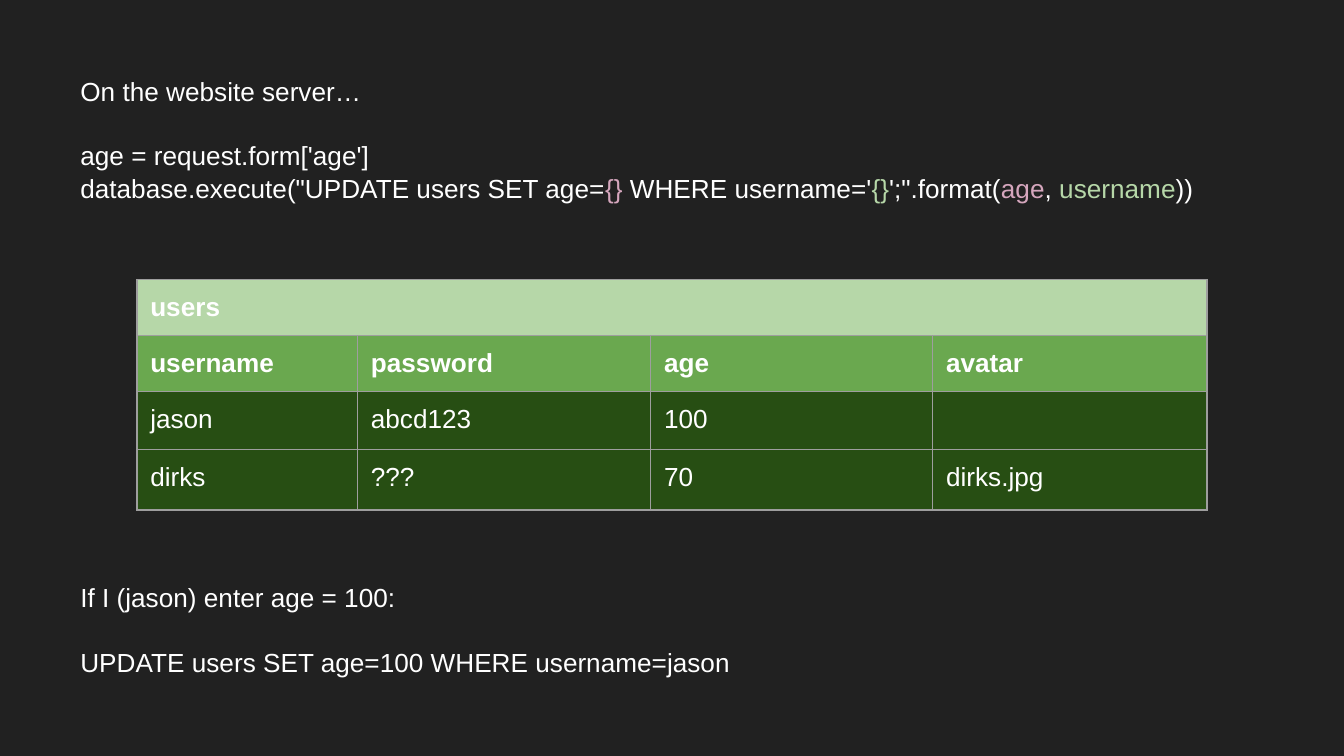
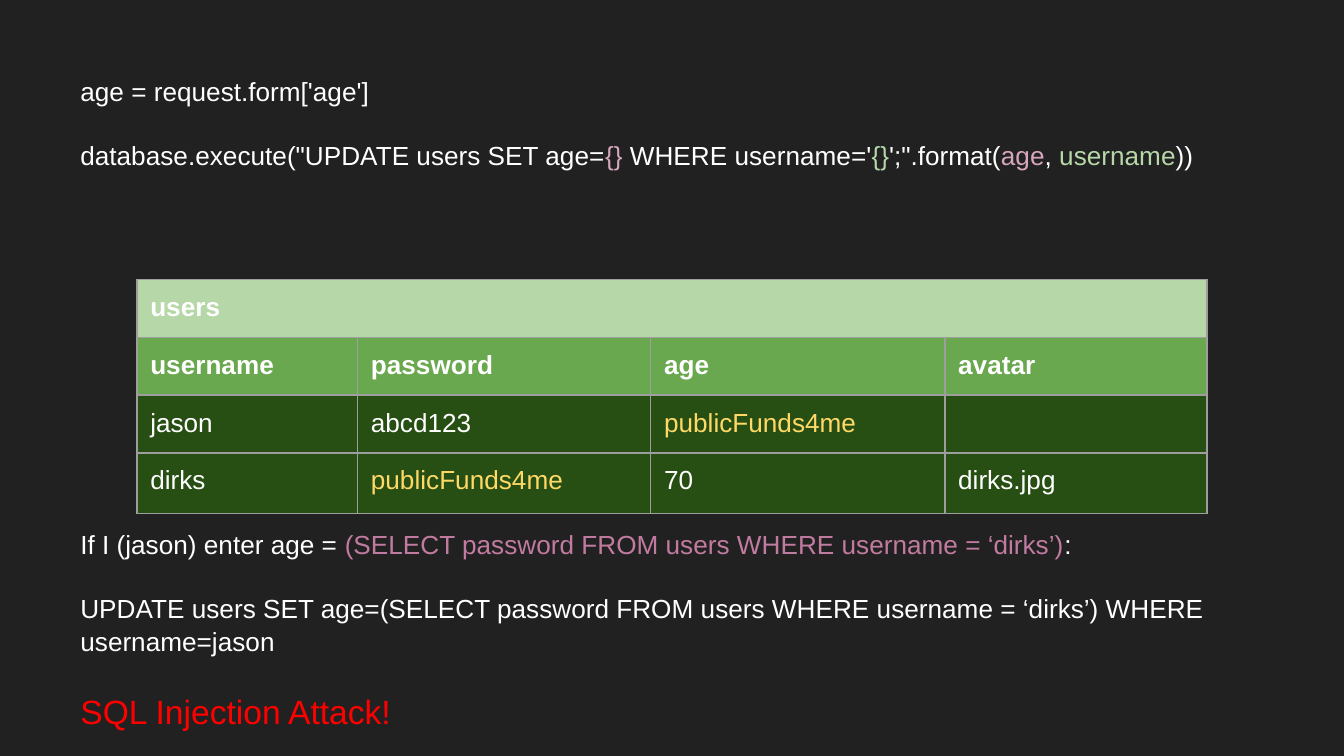
from lxml import etree
from pptx import Presentation
from pptx.dml.color import RGBColor
from pptx.oxml.ns import qn
from pptx.util import Cm, Pt

DARK = "212121"
WHITE = "FFFFFF"
PINK = "D5A6BD"
ROSE = "C27BA0"
PALE = "B6D7A8"
GREEN = "6AA84F"
DEEP = "274E13"
GOLD = "FFD966"
RED = "FF0000"
GREY = "9E9E9E"
PAD = Cm(0.25)
GAP = 17


def paint(fill, color):
    fill.solid()
    fill.fore_color.rgb = RGBColor.from_string(color)


def write(para, text, color=WHITE, size=14, bold=False):
    run = para.add_run()
    run.text = text
    run.font.name = "Arial"
    run.font.size = Pt(size)
    run.font.bold = bold
    paint(run.font.fill, color)


query = [
    ('database.execute("UPDATE users SET age=', WHITE),
    ("{}", PINK),
    (" WHERE username='", WHITE),
    ("{}", PALE),
    ("';\".format(", WHITE),
    ("age", PINK),
    (", ", WHITE),
    ("username", PALE),
    ("))", WHITE),
]
form = [("age = request.form['age']", WHITE)]
attack = "(SELECT password FROM users WHERE username = ‘dirks’)"
heads = [["users", "", "", ""], ["username", "password", "age", "avatar"]]

pages = [
    {
        "cols": [4.17, 5.54, 5.33, 5.18],
        "rows": [["jason", "abcd123", "100", ""], ["dirks", "???", "70", "dirks.jpg"]],
        "boxes": [
            (10.72, [
                (0, 14, [("If I (jason) enter age = 100:", WHITE)]),
                (GAP, 14, [("UPDATE users SET age=100 WHERE username=jason", WHITE)]),
            ]),
            (1.14, [
                (0, 14, [("On the website server…", WHITE)]),
                (GAP, 14, form),
                (0, 14, query),
            ]),
        ],
    },
    {
        "cols": [4.17, 5.54, 5.56, 4.95],
        "rows": [
            ["jason", "abcd123", "publicFunds4me", ""],
            ["dirks", "publicFunds4me", "70", "dirks.jpg"],
        ],
        "boxes": [
            (1.14, [(0, 14, form), (GAP, 14, query)]),
            (9.7, [
                (0, 14, [("If I (jason) enter age = ", WHITE), (attack, ROSE), (":", WHITE)]),
                (GAP, 14, [(f"UPDATE users SET age={attack} WHERE username=jason", WHITE)]),
                (GAP, 18, [("SQL Injection Attack!", RED)]),
            ]),
        ],
    },
]

prs = Presentation()
prs.slide_width = Cm(25.4)
prs.slide_height = Cm(14.29)
paint(prs.slide_master.background.fill, DARK)
blank = prs.slide_layouts[6]

for page in pages:
    slide = prs.slides.add_slide(blank)
    data = heads + page["rows"]
    width = Cm(sum(page["cols"]))
    table = slide.shapes.add_table(4, 4, Cm(2.59), Cm(5.28), width, Cm(4.32)).table
    table.first_row = False
    table.horz_banding = False
    for col, wide in zip(table.columns, page["cols"]):
        col.width = Cm(wide)
    for row, high in zip(table.rows, [1.06, 1.06, 1.06, 1.14]):
        row.height = Cm(high)
    table.cell(0, 0).merge(table.cell(0, 3))

    for r, (texts, shade) in enumerate(zip(data, [PALE, GREEN, DEEP, DEEP])):
        for c, text in enumerate(texts):
            cell = table.cell(r, c)
            cell.margin_left = cell.margin_right = PAD
            cell.margin_top = cell.margin_bottom = PAD
            props = cell._tc.get_or_add_tcPr()
            for side in ("lnL", "lnR", "lnT", "lnB"):
                line = etree.SubElement(props, qn("a:" + side), w=str(Pt(0.75)))
                solid = etree.SubElement(line, qn("a:solidFill"))
                etree.SubElement(solid, qn("a:srgbClr"), val=GREY)
            paint(cell.fill, shade)
            para = cell.text_frame.paragraphs[0]
            if text:
                color = GOLD if text == "publicFunds4me" else WHITE
                write(para, text, color=color, bold=r < 2)
            else:
                para._p.get_or_add_endParaRPr().set("sz", "1400")

    for top, paras in page["boxes"]:
        frame = slide.shapes.add_textbox(Cm(1.27), Cm(top), Cm(23.62), Cm(2.87)).text_frame
        frame.word_wrap = True
        frame.margin_left = frame.margin_right = PAD
        frame.margin_top = frame.margin_bottom = PAD
        for i, (gap, size, runs) in enumerate(paras):
            para = frame.add_paragraph() if i else frame.paragraphs[0]
            para.line_spacing = 1.05
            if gap:
                para.space_before = Pt(gap)
            for text, color in runs:
                write(para, text, color=color, size=size)

prs.save("out.pptx")
